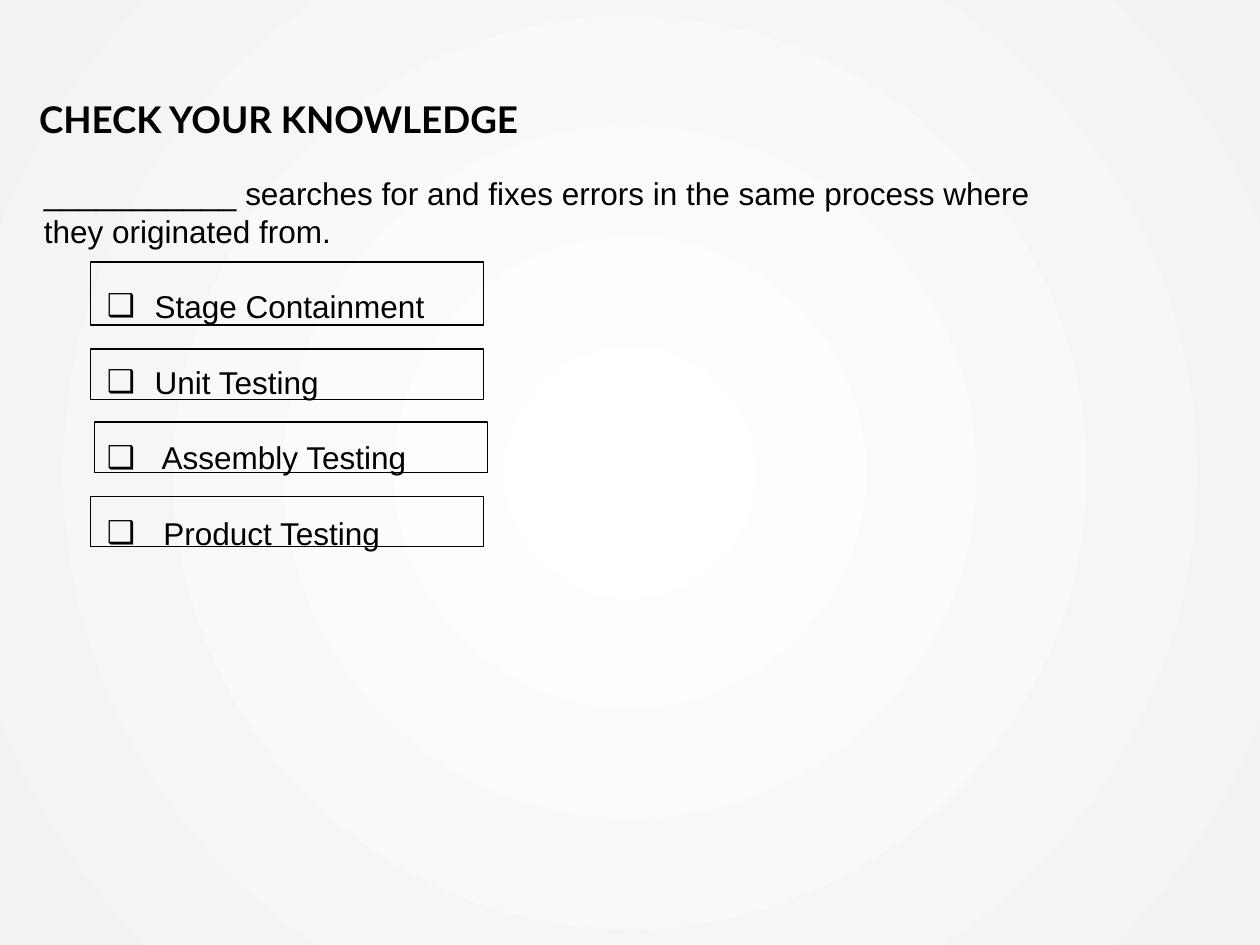
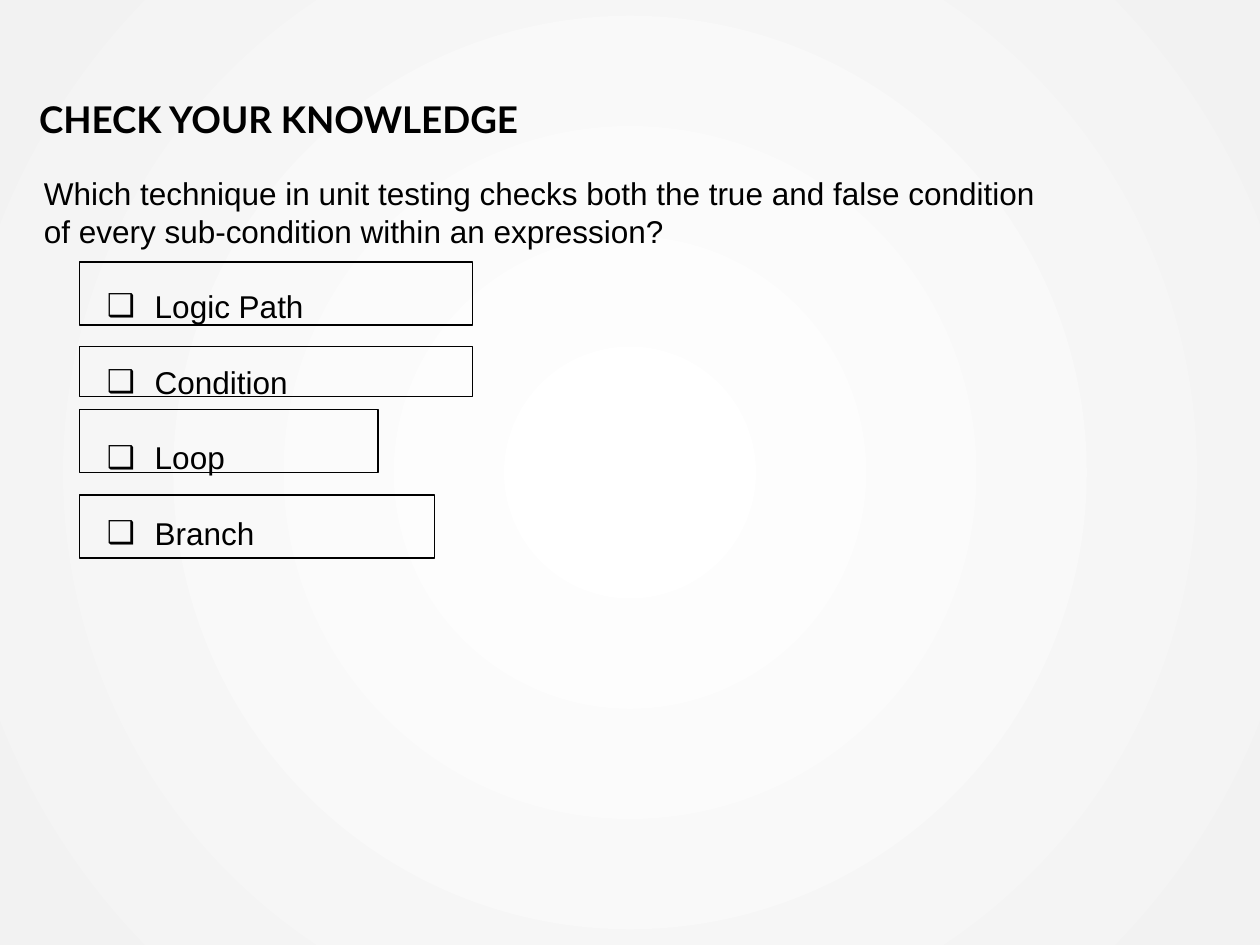
from dataclasses import dataclass
from lxml.etree import SubElement
from pptx import Presentation
from pptx.dml.color import RGBColor
from pptx.enum.shapes import MSO_SHAPE
from pptx.enum.text import MSO_ANCHOR, MSO_AUTO_SIZE, PP_ALIGN
from pptx.oxml.ns import qn
from pptx.util import Inches, Pt

TITLE = "CHECK YOUR KNOWLEDGE"
QUESTIONS = [
    {
        "question": "___________ searches for and fixes errors in the same process "
                    "where they originated from.",
        "answers": [
            ("Stage Containment", (0.72, 2.08, 3.12, 0.5)),
            ("Unit Testing", (0.72, 2.77, 3.12, 0.4)),
            (" Assembly Testing", (0.75, 3.35, 3.12, 0.4)),
            (" Product Testing", (0.72, 3.94, 3.12, 0.4)),
        ],
    },
    {
        "question": "Which technique in unit testing checks both the true and false "
                    "condition of every sub-condition within an expression?",
        "answers": [
            ("Logic Path", (0.63, 2.08, 3.12, 0.5)),
            ("Condition", (0.63, 2.75, 3.12, 0.4)),
            ("Loop", (0.63, 3.25, 2.37, 0.5)),
            ("Branch", (0.63, 3.93, 2.82, 0.5)),
        ],
    },
]
TITLE_BOX = (0.31, 0, 9.38, 1.11)
QUESTION_BOX = (0.25, 1.33, 8.17, 3.13)


@dataclass(frozen=True)
class Theme:
    ink: RGBColor = RGBColor(0x00, 0x00, 0x00)
    center: RGBColor = RGBColor(0xFF, 0xFF, 0xFF)
    edge: RGBColor = RGBColor(0xF2, 0xF2, 0xF2)
    title_font: str = "Lato"
    body_font: str = "Arial"
    title_size: int = 21
    body_size: int = 18


THEME = Theme()


def to_inches(box):
    return [Inches(value) for value in box]


def format_runs(paragraph, font_name, size, bold=False):
    for run in paragraph.runs:
        run.font.name = font_name
        run.font.size = Pt(size)
        run.font.bold = bold
        run.font.color.rgb = THEME.ink


def set_background(master):
    fill = master.background.fill
    fill.gradient()
    stops = zip(fill.gradient_stops, (0.02, 1), (THEME.center, THEME.edge))
    for stop, position, color in stops:
        stop.position = position
        stop.color.rgb = color
    linear = next(master.element.iter(qn("a:lin")))
    gradient = linear.getparent()
    gradient.remove(linear)
    circle = SubElement(gradient, qn("a:path"), path="circle")
    SubElement(circle, qn("a:fillToRect"), l="50000", t="50000", r="50000", b="50000")


def add_title(slide):
    title = slide.shapes.title
    title.left, title.top, title.width, title.height = to_inches(TITLE_BOX)
    frame = title.text_frame
    frame.text = TITLE
    frame.auto_size = MSO_AUTO_SIZE.NONE
    frame.vertical_anchor = MSO_ANCHOR.BOTTOM
    frame.margin_left = frame.margin_right = frame.margin_bottom = 0
    frame.margin_top = Inches(0.05)
    paragraph = frame.paragraphs[0]
    paragraph.alignment = PP_ALIGN.LEFT
    paragraph.line_spacing = 0.7
    format_runs(paragraph, THEME.title_font, THEME.title_size, bold=True)


def make_checkbox(paragraph):
    paragraph.level = 1
    paragraph.line_spacing = 2.0
    properties = paragraph._p.get_or_add_pPr()
    properties.set("marL", str(Inches(0.88)))
    properties.set("indent", str(Inches(-0.38)))
    SubElement(properties, qn("a:buFont"), typeface=THEME.body_font)
    SubElement(properties, qn("a:buChar"), char="❑")


def add_question(slide, question, answers):
    frame = slide.shapes.add_textbox(*to_inches(QUESTION_BOX)).text_frame
    frame.word_wrap = True
    frame.auto_size = MSO_AUTO_SIZE.SHAPE_TO_FIT_TEXT
    frame.text = question
    for answer, _ in answers:
        paragraph = frame.add_paragraph()
        paragraph.text = answer
        make_checkbox(paragraph)
    for paragraph in frame.paragraphs:
        format_runs(paragraph, THEME.body_font, THEME.body_size)


def add_answer_frame(slide, box):
    shape = slide.shapes.add_shape(MSO_SHAPE.RECTANGLE, *to_inches(box))
    shape.shadow.inherit = False
    shape.fill.background()
    shape.line.color.rgb = THEME.ink
    shape.line.width = Pt(0)


def main():
    presentation = Presentation()
    presentation.slide_width, presentation.slide_height = Inches(10), Inches(7.5)
    set_background(presentation.slide_master)
    title_only = presentation.slide_layouts.get_by_name("Title Only")
    for item in QUESTIONS:
        slide = presentation.slides.add_slide(title_only)
        add_title(slide)
        add_question(slide, item["question"], item["answers"])
        for _, box in item["answers"]:
            add_answer_frame(slide, box)
    presentation.save("out.pptx")


if __name__ == "__main__":
    main()
